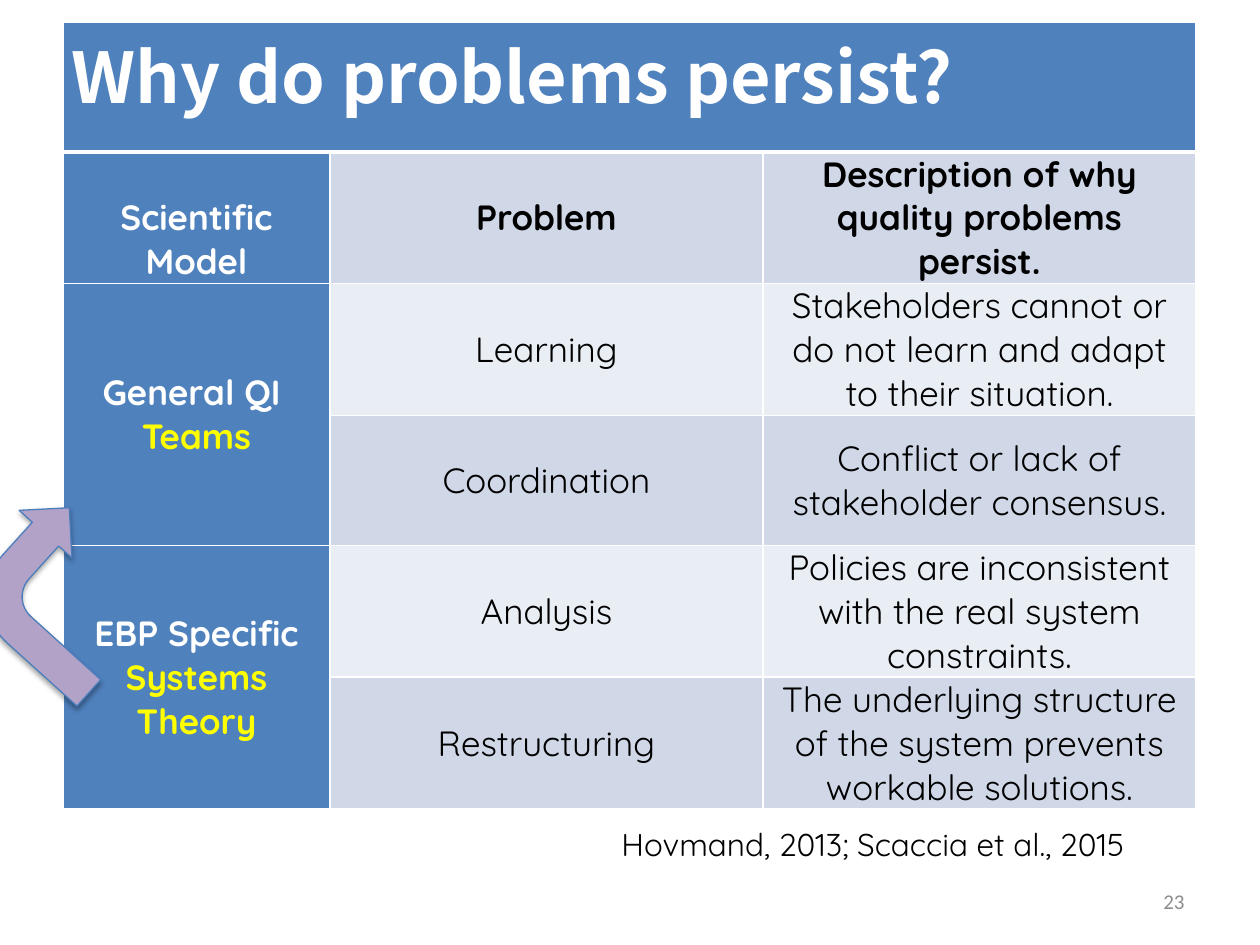
from lxml import etree
from pptx import Presentation
from pptx.dml.color import RGBColor
from pptx.enum.shapes import MSO_SHAPE
from pptx.enum.text import MSO_ANCHOR, PP_ALIGN
from pptx.oxml import parse_xml
from pptx.oxml.ns import nsdecls, qn
from pptx.util import Pt

PX = 914400 // 126
COLORS = {
    "blue": "4F81BD", "band": "D0D8E8", "light": "E9EDF4", "white": "FFFFFF",
    "black": "000000", "yellow": "FFFF00", "grey": "8C8C8C",
    "arrow": "B3A2C7", "outline": "4B7EBC",
}
BODY_FONT = "Quicksand"

# Content
TITLE = "Why do problems persist?"
HEADINGS = ["Problem", "Description of why quality problems persist."]
PROBLEMS = [
    ("Learning", "Stakeholders cannot or do not learn and adapt to their situation."),
    ("Coordination", "Conflict or lack of stakeholder consensus."),
    ("Analysis", "Policies are inconsistent with the real system constraints."),
    ("Restructuring", "The underlying structure of the system prevents workable solutions."),
]
# First row, model name, theory shown in yellow
MODELS = [(2, "General QI ", "Teams"), (4, "EBP Specific", "Systems Theory")]
CITATION = "Hovmand, 2013; Scaccia et al., 2015"
PAGE_NUMBER = "23"

# Layout in px
COLUMNS = [267, 433, 433]
ROW_HEIGHT = 130
TABLE_LEFT, TABLE_TOP = 63, 22


def px(*values):
    return [round(v * PX) for v in values]


def rgb(name):
    return RGBColor.from_string(COLORS[name])


def write(p, text, color, size=20, bold=False, font=BODY_FONT, align=PP_ALIGN.CENTER):
    p.text = text
    p.alignment = align
    p.font.size = Pt(size)
    p.font.bold = bold
    p.font.name = font
    p.font.color.rgb = rgb(color)
    for r in p.runs:
        for tag in ("a:ea", "a:cs"):
            etree.SubElement(r._r.get_or_add_rPr(), qn(tag)).set("typeface", font)


def style_cell(cell, fill, bottom=1):
    cell.margin_left = cell.margin_right = 9 * PX
    cell.margin_top = cell.margin_bottom = 0
    cell.vertical_anchor = MSO_ANCHOR.MIDDLE
    tcPr = cell._tc.get_or_add_tcPr()
    for side in "LRTB":
        width = Pt(bottom if side == "B" else 1)
        tcPr.append(parse_xml(
            f'<a:ln{side} {nsdecls("a")} w="{width}"><a:solidFill>'
            f'<a:srgbClr val="{COLORS["white"]}"/></a:solidFill></a:ln{side}>'))
    cell.fill.solid()
    cell.fill.fore_color.rgb = rgb(fill)


def add_problem_table(s):
    rows = [HEADINGS, *PROBLEMS]
    n = len(rows) + 1
    table = s.shapes.add_table(
        n, len(COLUMNS), *px(TABLE_LEFT, TABLE_TOP, sum(COLUMNS), n * ROW_HEIGHT)).table
    for column, width in zip(table.columns, COLUMNS):
        column.width = width * PX
    for row in table.rows:
        row.height = ROW_HEIGHT * PX

    # Fills and borders: blue title and first column, banded body
    for i in range(n):
        for j in range(len(COLUMNS)):
            banded = "band" if i % 2 else "light"
            if i == n - 1 or i == 3:
                banded = "band"
            elif i in (2, 4):
                banded = "light"
            style_cell(table.cell(i, j), "blue" if i == 0 or j == 0 else banded,
                       bottom=3 if i == 0 else 1)

    # Title across the top
    title = table.cell(0, 0)
    title.merge(table.cell(0, len(COLUMNS) - 1))
    title.vertical_anchor = MSO_ANCHOR.TOP
    write(title.text_frame.paragraphs[0], TITLE, "white", 40, True,
          "Noto Sans CJK JP", PP_ALIGN.LEFT)

    # Model column
    corner = table.cell(1, 0)
    corner.vertical_anchor = MSO_ANCHOR.BOTTOM
    write(corner.text_frame.paragraphs[0], "Scientific Model", "white", bold=True)
    for first, model, theory in MODELS:
        cell = table.cell(first, 0)
        cell.merge(table.cell(first + 1, 0))
        tf = cell.text_frame
        write(tf.paragraphs[0], model, "white", bold=True)
        write(tf.add_paragraph(), theory, "yellow", bold=True)

    # Problems and descriptions
    for i, texts in enumerate(rows, start=1):
        for j, text in enumerate(texts, start=1):
            write(table.cell(i, j).text_frame.paragraphs[0], text, "black", bold=i == 1)


def add_label(s, box, text, color, size, font, align, anchor, wrap):
    tf = s.shapes.add_textbox(*px(*box)).text_frame
    tf.word_wrap = wrap
    tf.vertical_anchor = anchor
    write(tf.paragraphs[0], text, color, size, font=font, align=align)


def add_bent_arrow(s):
    sp = s.shapes.add_shape(MSO_SHAPE.BENT_ARROW, *px(-11, 508, 142, 174))
    sp.rotation = 312.1
    sp.fill.solid()
    sp.fill.fore_color.rgb = rgb("arrow")
    sp.line.color.rgb = rgb("outline")
    sp.line.width = Pt(0.75)
    # Soft shadow straight below
    sp.shadow.inherit = False
    sp._element.spPr.find(qn("a:effectLst")).append(parse_xml(
        f'<a:outerShdw {nsdecls("a")} blurRad="{Pt(3.1)}" dist="{Pt(1.8)}" dir="5400000" '
        f'rotWithShape="0"><a:srgbClr val="{COLORS["black"]}"><a:alpha val="35000"/>'
        '</a:srgbClr></a:outerShdw>'))


def main():
    prs = Presentation()
    prs.slide_width, prs.slide_height = px(1260, 945)
    s = prs.slides.add_slide(prs.slide_layouts[6])
    add_problem_table(s)
    add_label(s, (903, 876, 294, 50), PAGE_NUMBER, "grey", 12, "Calibri",
              PP_ALIGN.RIGHT, MSO_ANCHOR.MIDDLE, True)
    add_label(s, (609, 819, 586, 50), CITATION, "black", 18, BODY_FONT,
              PP_ALIGN.LEFT, MSO_ANCHOR.TOP, False)
    add_bent_arrow(s)
    prs.save("out.pptx")


if __name__ == "__main__":
    main()
